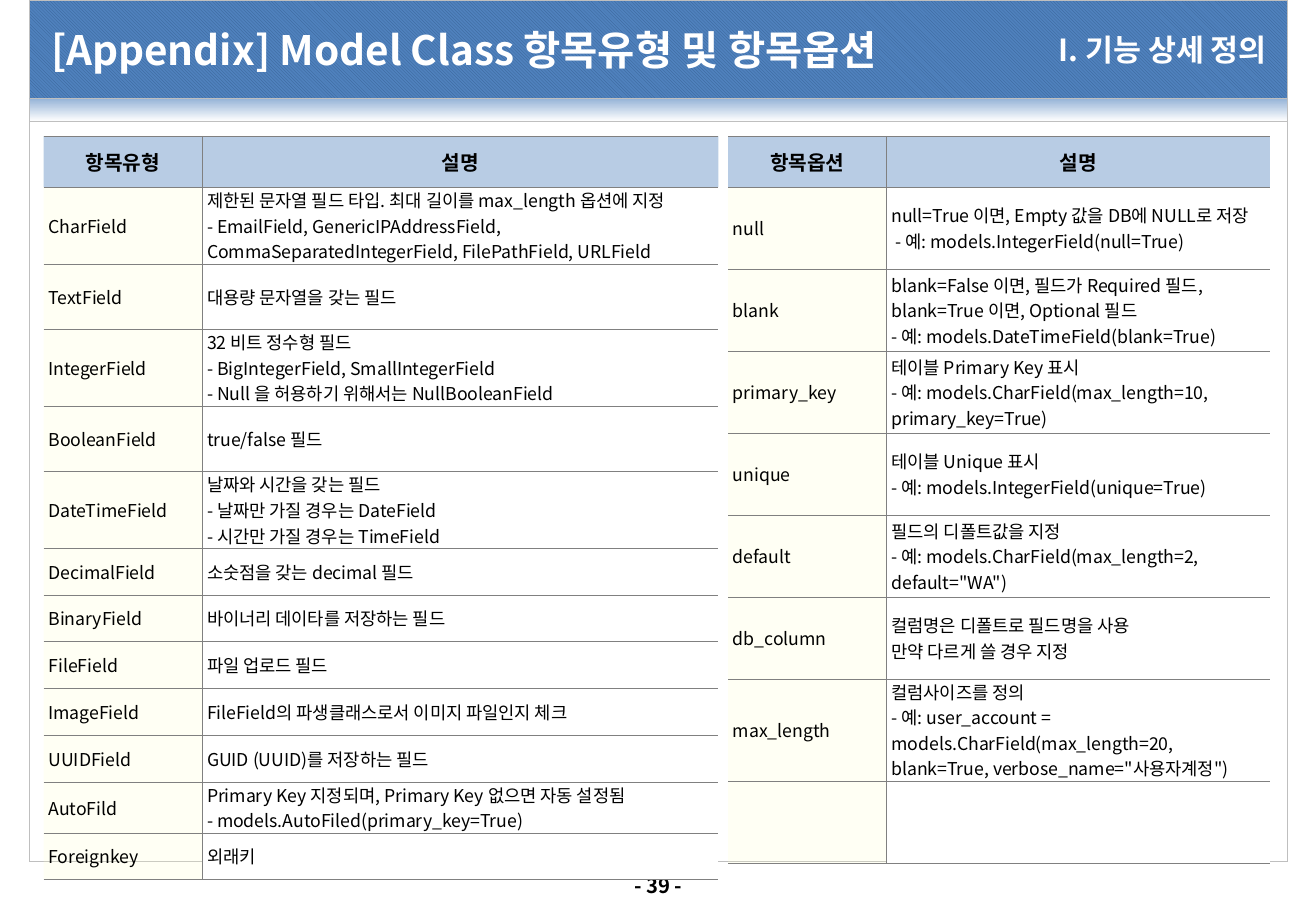
from lxml import etree
from pptx import Presentation
from pptx.dml.color import RGBColor
from pptx.enum.dml import MSO_LINE, MSO_PATTERN
from pptx.enum.shapes import MSO_SHAPE
from pptx.enum.text import MSO_ANCHOR, MSO_AUTO_SIZE, PP_ALIGN
from pptx.oxml.ns import qn
from pptx.util import Emu, Pt

PX = 4572
FONT = "Noto Sans CJK KR"
COLORS = {
    "black": "000000",
    "white": "FFFFFF",
    "blue": "4F81BD",
    "dark_blue": "376092",
    "pale_blue": "95B3D7",
    "cream": "FFFFCC",
    "frame": "BFBFBF",
    "rule": "808080",
}
RECTANGLE = MSO_SHAPE.RECTANGLE
DOTTED = MSO_LINE.ROUND_DOT
DIAGONAL = MSO_PATTERN.LIGHT_DOWNWARD_DIAGONAL
MIDDLE = MSO_ANCHOR.MIDDLE
LEFT, CENTER, RIGHT = PP_ALIGN.LEFT, PP_ALIGN.CENTER, PP_ALIGN.RIGHT
FIT_SHAPE, FIT_NONE = MSO_AUTO_SIZE.SHAPE_TO_FIT_TEXT, MSO_AUTO_SIZE.NONE

FIELD_TYPES = [
    ("항목유형", ["설명"]),
    ("CharField", [
        "제한된 문자열 필드 타입. 최대 길이를 max_length 옵션에 지정",
        "- EmailField, GenericIPAddressField, CommaSeparatedIntegerField, FilePathField, URLField",
    ]),
    ("TextField", ["대용량 문자열을 갖는 필드"]),
    ("IntegerField", [
        "32 비트 정수형 필드",
        "- BigIntegerField, SmallIntegerField",
        "- Null 을 허용하기 위해서는 NullBooleanField",
    ]),
    ("BooleanField", ["true/false 필드"]),
    ("DateTimeField", [
        "날짜와 시간을 갖는 필드",
        "- 날짜만 가질 경우는 DateField",
        "- 시간만 가질 경우는 TimeField",
    ]),
    ("DecimalField", ["소숫점을 갖는 decimal 필드"]),
    ("BinaryField", ["바이너리 데이타를 저장하는 필드"]),
    ("FileField", ["파일 업로드 필드"]),
    ("ImageField", ["FileField의 파생클래스로서 이미지 파일인지 체크"]),
    ("UUIDField", ["GUID (UUID)를 저장하는 필드"]),
    ("AutoFild", [
        "Primary Key 지정되며, Primary Key 없으면 자동 설정됨",
        "- models.AutoFiled(primary_key=True)",
    ]),
    ("Foreignkey", ["외래키"]),
]
FIELD_OPTIONS = [
    ("항목옵션", ["설명"]),
    ("null", [
        "null=True 이면, Empty 값을 DB에 NULL로 저장",
        " - 예: models.IntegerField(null=True)",
    ]),
    ("blank", [
        "blank=False 이면, 필드가 Required 필드, blank=True 이면, Optional 필드",
        "- 예: models.DateTimeField(blank=True)",
    ]),
    ("primary_key", [
        "테이블 Primary Key 표시",
        "- 예: models.CharField(max_length=10, primary_key=True)",
    ]),
    ("unique", [
        "테이블 Unique 표시",
        "- 예: models.IntegerField(unique=True)",
    ]),
    ("default", [
        "필드의 디폴트값을 지정",
        '- 예: models.CharField(max_length=2, default="WA")',
    ]),
    ("db_column", ["컬럼명은 디폴트로 필드명을 사용", "만약 다르게 쓸 경우 지정"]),
    ("max_length", [
        "컬럼사이즈를 정의",
        '- 예: user_account = models.CharField(max_length=20, blank=True, verbose_name="사용자계정")',
    ]),
    ("", []),
]


def px(value):
    return Emu(value * PX)


def rgb(name):
    return RGBColor.from_string(COLORS[name])


def write(frame, lines, size, color="black", bold=False, align=LEFT):
    for index, line in enumerate(lines):
        para = frame.paragraphs[0] if index == 0 else frame.add_paragraph()
        para.alignment = align
        span = para.add_run()
        span.text = line
        span.font.name = FONT
        span.font.size = Pt(size)
        span.font.bold = bold
        span.font.color.rgb = rgb(color)
        properties = span._r.get_or_add_rPr()
        etree.SubElement(properties, qn("a:ea")).set("typeface", FONT)


def add_band(page, top, height):
    band = page.shapes.add_shape(RECTANGLE, px(48), px(top), px(2072), px(height))
    band.shadow.inherit = False
    band.line.color.rgb = rgb("frame")
    band.line.width = Pt(0.25)
    band.line.dash_style = DOTTED
    return band


def add_frame(page):
    fade = add_band(page, 162, 38).fill
    fade.gradient()
    fade.gradient_angle = 270
    for stop, position, name in zip(fade.gradient_stops, (0, 1), ("pale_blue", "white")):
        stop.position = position
        stop.color.rgb = rgb(name)

    body = add_band(page, 200, 1218).fill
    body.solid()
    body.fore_color.rgb = rgb("white")

    add_page_number(page)

    header = add_band(page, 0, 162)
    header.rotation = 180
    header.fill.patterned()
    header.fill.pattern = DIAGONAL
    header.fill.fore_color.rgb = rgb("dark_blue")
    header.fill.back_color.rgb = rgb("blue")


def add_page_number(page):
    box = page.shapes.add_textbox(px(1016), px(1428), px(136), px(60))
    box.text_frame.word_wrap = False
    box.text_frame.auto_size = FIT_SHAPE
    write(box.text_frame, ["- 39 -"], 12, bold=True, align=CENTER)


def format_heading(box, left, width, text, size, align):
    box.left, box.top, box.width, box.height = px(left), px(16), px(width), px(132)
    frame = box.text_frame
    frame.word_wrap = True
    frame.auto_size = FIT_NONE
    frame.vertical_anchor = MIDDLE
    frame.margin_left = frame.margin_right = px(8)
    frame.margin_top = frame.margin_bottom = px(8)
    write(frame, [text], size, "white", True, align)


def add_headings(page):
    section = page.shapes.add_textbox(0, 0, 0, 0)
    format_heading(section, 1414, 680, "I. 기능 상세 정의", 18, RIGHT)
    title = page.shapes.title
    title.element.getparent().append(title.element)
    format_heading(title, 76, 1448, "[Appendix] Model Class 항목유형 및 항목옵션", 24, LEFT)


def set_borders(cell, ruled):
    properties = cell._tc.get_or_add_tcPr()
    for index, side in enumerate("LRTB"):
        line = etree.Element(qn(f"a:ln{side}"), w=str(Pt(0.25)))
        properties.insert(index, line)
        if side in ruled:
            fill = etree.SubElement(line, qn("a:solidFill"))
            etree.SubElement(fill, qn("a:srgbClr"), val=COLORS["rule"])
        else:
            etree.SubElement(line, qn("a:noFill"))


def fill_cell(cell, name, opacity):
    cell.fill.solid()
    cell.fill.fore_color.rgb = rgb(name)
    if opacity < 100:
        color = cell._tc.tcPr.find(f".//{qn('a:srgbClr')}")
        etree.SubElement(color, qn("a:alpha"), val=str(opacity * 1000))


def format_cell(cell, lines, is_header, is_name):
    cell.vertical_anchor = MIDDLE
    cell.margin_left = cell.margin_right = px(8)
    cell.margin_top = cell.margin_bottom = 0
    if is_header:
        fill_cell(cell, "blue", 40)
        write(cell.text_frame, lines, 12, bold=True, align=CENTER)
    else:
        fill_cell(cell, *(("cream", 20) if is_name else ("white", 100)))
        write(cell.text_frame, lines, 10.5)
    set_borders(cell, "RTB" if is_name else "LTB")


def add_field_table(page, left, widths, heights, entries):
    holder = page.shapes.add_table(
        len(entries), 2, px(left), px(224), px(sum(widths)), px(sum(heights)))
    table = holder.table
    table.first_row = table.horz_banding = False
    for column, width in zip(table.columns, widths):
        column.width = px(width)
    for row, height in zip(table.rows, heights):
        row.height = px(height)
    for index, (name, description) in enumerate(entries):
        names = [name] if name else []
        for column, lines in enumerate((names, description)):
            format_cell(table.cell(index, column), lines, index == 0, column == 0)


def main():
    deck = Presentation()
    deck.slide_width, deck.slide_height = px(2167), px(1500)
    page = deck.slides.add_slide(deck.slide_layouts[5])
    add_frame(page)
    add_headings(page)
    add_field_table(page, 72, (261, 850), [84] + [108] * 5 + [77] * 7, FIELD_TYPES)
    add_field_table(page, 1199, (261, 631), [84] + [135] * 8, FIELD_OPTIONS)
    deck.save("out.pptx")


if __name__ == "__main__":
    main()
